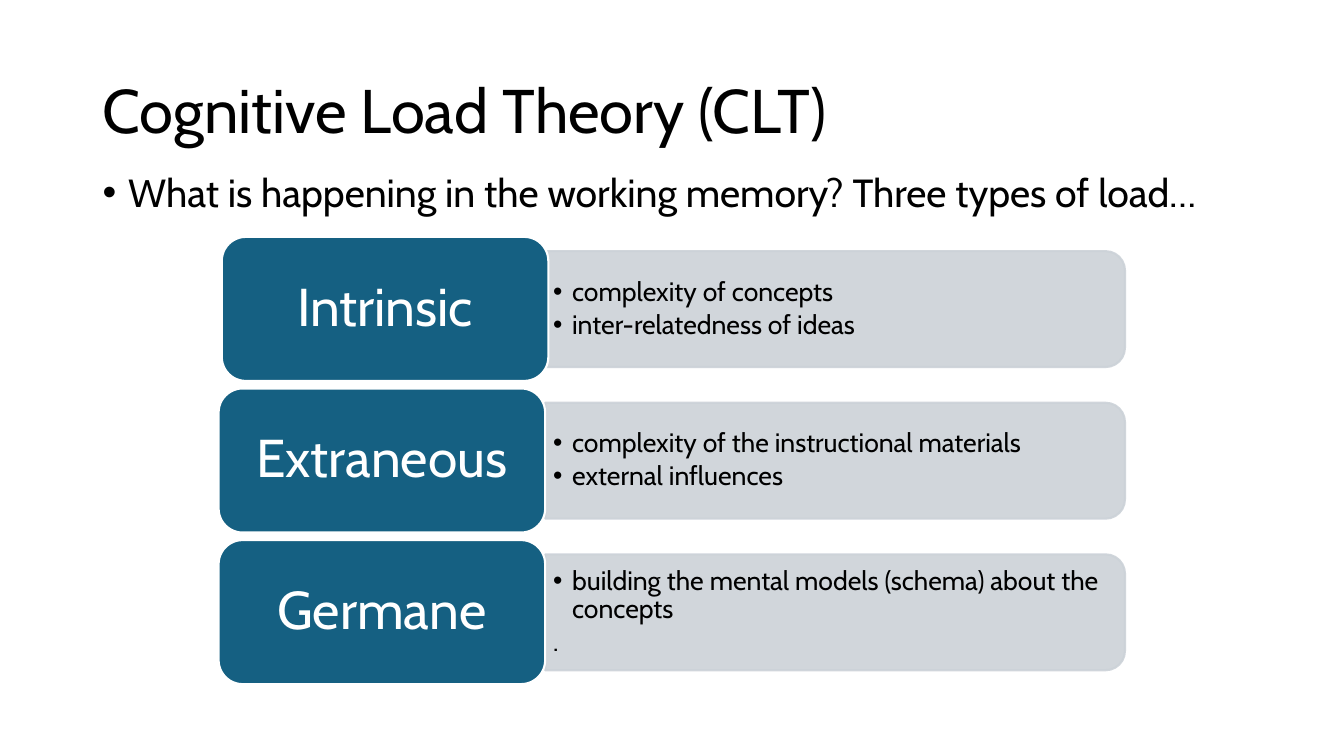
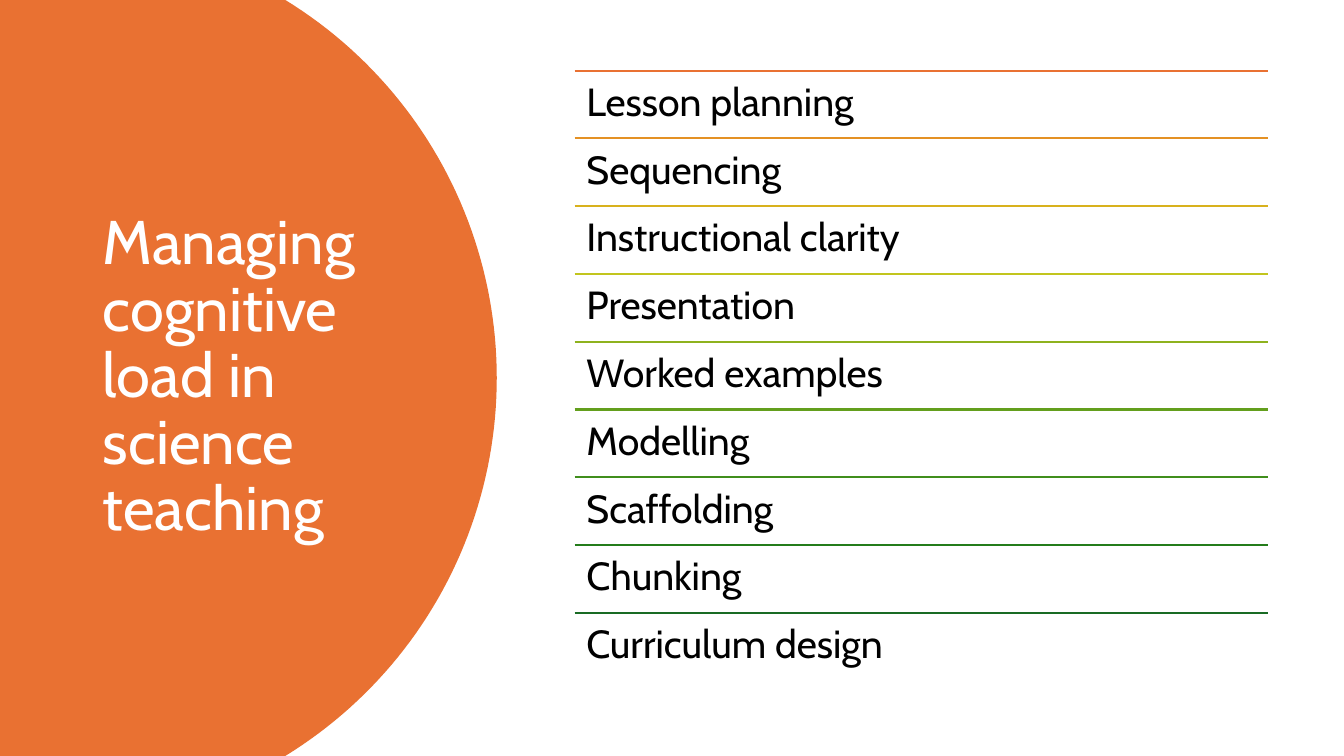
import math

from lxml import etree
from pptx import Presentation
from pptx.dml.color import RGBColor
from pptx.enum.shapes import MSO_CONNECTOR, MSO_SHAPE
from pptx.enum.text import MSO_ANCHOR, PP_ALIGN
from pptx.oxml.ns import qn
from pptx.util import Cm, Pt

TOP, MIDDLE = MSO_ANCHOR.TOP, MSO_ANCHOR.MIDDLE
LEFT, CENTER = PP_ALIGN.LEFT, PP_ALIGN.CENTER
ROUNDED, ROUNDED_TOP = MSO_SHAPE.ROUNDED_RECTANGLE, MSO_SHAPE.ROUND_2_SAME_RECTANGLE
STRAIGHT = MSO_CONNECTOR.STRAIGHT

WIDTH, HEIGHT = 33.87, 19.05
FONT = "Cabin"
BLACK, WHITE = "000000", "FFFFFF"
BLUE, GREY, ORANGE = "156082", "CCD2D8", "E97132"
TITLE_SIZE, BODY_SIZE = 44, 28
LINE_WIDTH = 1.5
MARGIN = 2.34

LOADS = [
    ("Intrinsic", 5.59, [("complexity of concepts", True),
                         ("inter-relatedness of ideas", True)]),
    ("Extraneous", 5.51, [("complexity of the instructional materials", True),
                          ("external influences", True)]),
    ("Germane", 5.51, [("building the mental models (schema) about the concepts", True),
                       (".", False)]),
]
STRATEGIES = [
    ("Lesson planning", ORANGE), ("Sequencing", "E49124"),
    ("Instructional clarity", "D8B11D"), ("Presentation", "C2C51E"),
    ("Worked examples", "8EB21E"), ("Modelling", "639F1D"),
    ("Scaffolding", "408E1C"), ("Chunking", "247C1B"),
    ("Curriculum design", "196B24"),
]


def rgb(code):
    return RGBColor.from_string(code)


class SlideBuilder:
    """Holds the deck, its style and the slide being drawn."""

    def __init__(self):
        self.deck = Presentation()
        self.deck.slide_width, self.deck.slide_height = Cm(WIDTH), Cm(HEIGHT)
        self.page = None

    def new_page(self):
        self.page = self.deck.slides.add_slide(self.deck.slide_layouts[6])

    def paint(self, shape, fill, line=None, opacity=None):
        shape.shadow.inherit = False
        shape.fill.solid()
        shape.fill.fore_color.rgb = rgb(fill)
        if line:
            shape.line.color.rgb = rgb(line)
            shape.line.width = Pt(LINE_WIDTH)
        else:
            shape.line.fill.background()
        if opacity:
            for color in shape._element.spPr.iter(qn("a:srgbClr")):
                etree.SubElement(color, qn("a:alpha"), val=str(opacity * 1000))

    def frame(self, shape, anchor, insets):
        frame = shape.text_frame
        frame.word_wrap = True
        frame.vertical_anchor = anchor
        frame.margin_left = frame.margin_right = Cm(insets[0])
        frame.margin_top = frame.margin_bottom = Cm(insets[1])
        return frame

    def add_span(self, para, text, size, color=BLACK, align=LEFT):
        para.alignment = align
        para.line_spacing = 0.9
        span = para.add_run()
        span.text = text
        span.font.name, span.font.size = FONT, Pt(size)
        span.font.color.rgb = rgb(color)

    def indent(self, para, hanging, bullet=True):
        properties = para._p.get_or_add_pPr()
        properties.set("marL", str(Cm(hanging)))
        properties.set("indent", str(-Cm(hanging)))
        if bullet:
            etree.SubElement(properties, qn("a:buFont"), typeface="Arial")
            etree.SubElement(properties, qn("a:buChar"), char="•")

    def text(self, left, top, width, height, text, size, color=BLACK,
             anchor=TOP, insets=(0.25, 0.13)):
        box = self.page.shapes.add_textbox(Cm(left), Cm(top), Cm(width), Cm(height))
        para = self.frame(box, anchor, insets).paragraphs[0]
        self.add_span(para, text, size, color)
        return para

    def title(self, top, width, height, text, color=BLACK):
        self.text(MARGIN, top, width, height, text, TITLE_SIZE, color, MIDDLE)

    def bullets(self, left, top, width, height, items, size):
        box = self.page.shapes.add_textbox(Cm(left), Cm(top), Cm(width), Cm(height))
        frame = self.frame(box, MIDDLE, (0.2, 0.1))
        for index, (text, bullet) in enumerate(items):
            para = frame.add_paragraph() if index else frame.paragraphs[0]
            self.add_span(para, text, size)
            para.space_after = Pt(3)
            self.indent(para, 0.48, bullet)

    def label_box(self, left, top, width, height, text, size):
        box = self.page.shapes.add_shape(ROUNDED, Cm(left), Cm(top), Cm(width), Cm(height))
        self.paint(box, BLUE, WHITE)
        para = self.frame(box, MIDDLE, (0.4, 0.2)).paragraphs[0]
        self.add_span(para, text, size, WHITE, CENTER)

    def side_bar(self, left, top, width, height):
        """A bar with its right corners rounded: a quarter turn of a round-topped one."""
        shift = (width - height) / 2
        bar = self.page.shapes.add_shape(
            ROUNDED_TOP, Cm(left + shift), Cm(top - shift), Cm(height), Cm(width))
        bar.rotation = 90
        self.paint(bar, GREY, GREY, opacity=90)

    def rule(self, left, top, width, color):
        line = self.page.shapes.add_connector(
            STRAIGHT, Cm(left), Cm(top), Cm(left + width), Cm(top))
        line.line.color.rgb = rgb(color)
        line.line.width = Pt(LINE_WIDTH)
        etree.SubElement(line._element.spPr, qn("a:effectLst"))

    def arc_panel(self, corner, edge, color, steps=90):
        """A full-height panel from the left, bounded by an arc on the right."""
        half, depth = HEIGHT / 2, edge - corner
        radius = (depth ** 2 + half ** 2) / (2 * depth)
        sweep = math.asin(half / radius)
        angles = [sweep * (2 * step / steps - 1) for step in range(steps + 1)]
        points = [(Cm(edge - radius + radius * math.cos(angle)),
                   Cm(half + radius * math.sin(angle))) for angle in angles]
        outline = self.page.shapes.build_freeform(0, 0)
        outline.add_line_segments(points + [(0, Cm(HEIGHT))], close=True)
        self.paint(outline.convert_to_shape(), color)


def load_types(builder):
    builder.new_page()
    builder.title(1.02, 29.21, 3.68, "Cognitive Load Theory (CLT)")
    question = builder.text(
        MARGIN, 4.24, 29.21, 12.09,
        "What is happening in the working memory? Three types of load…", BODY_SIZE)
    question.space_before = Pt(10)
    builder.indent(question, 0.64)

    # One row per type of load
    for row, (name, left, points) in enumerate(LOADS):
        top = 5.97 + row * 3.82
        builder.side_bar(13.74, top + 0.36, 14.61, 2.92)
        builder.bullets(13.74, top + 0.51, 14.48, 2.62, points, 19)
        builder.label_box(left, top, 8.23, 3.63, name, 38)


def teaching_strategies(builder):
    builder.new_page()
    builder.arc_panel(7.19, 12.52, ORANGE)
    builder.title(1.78, 8.2, 15.47, "Managing cognitive load in science teaching", WHITE)

    # Ruled list with equal rows
    left, width = 14.48, 17.48
    pitch = 15.37 / len(STRATEGIES)
    for row, (name, color) in enumerate(STRATEGIES):
        top = 1.78 + row * pitch
        builder.rule(left, top, width, color)
        builder.text(left, top, width, pitch, name, BODY_SIZE, insets=(0.3, 0.3))


def main():
    builder = SlideBuilder()
    load_types(builder)
    teaching_strategies(builder)
    builder.deck.save("out.pptx")


if __name__ == "__main__":
    main()
